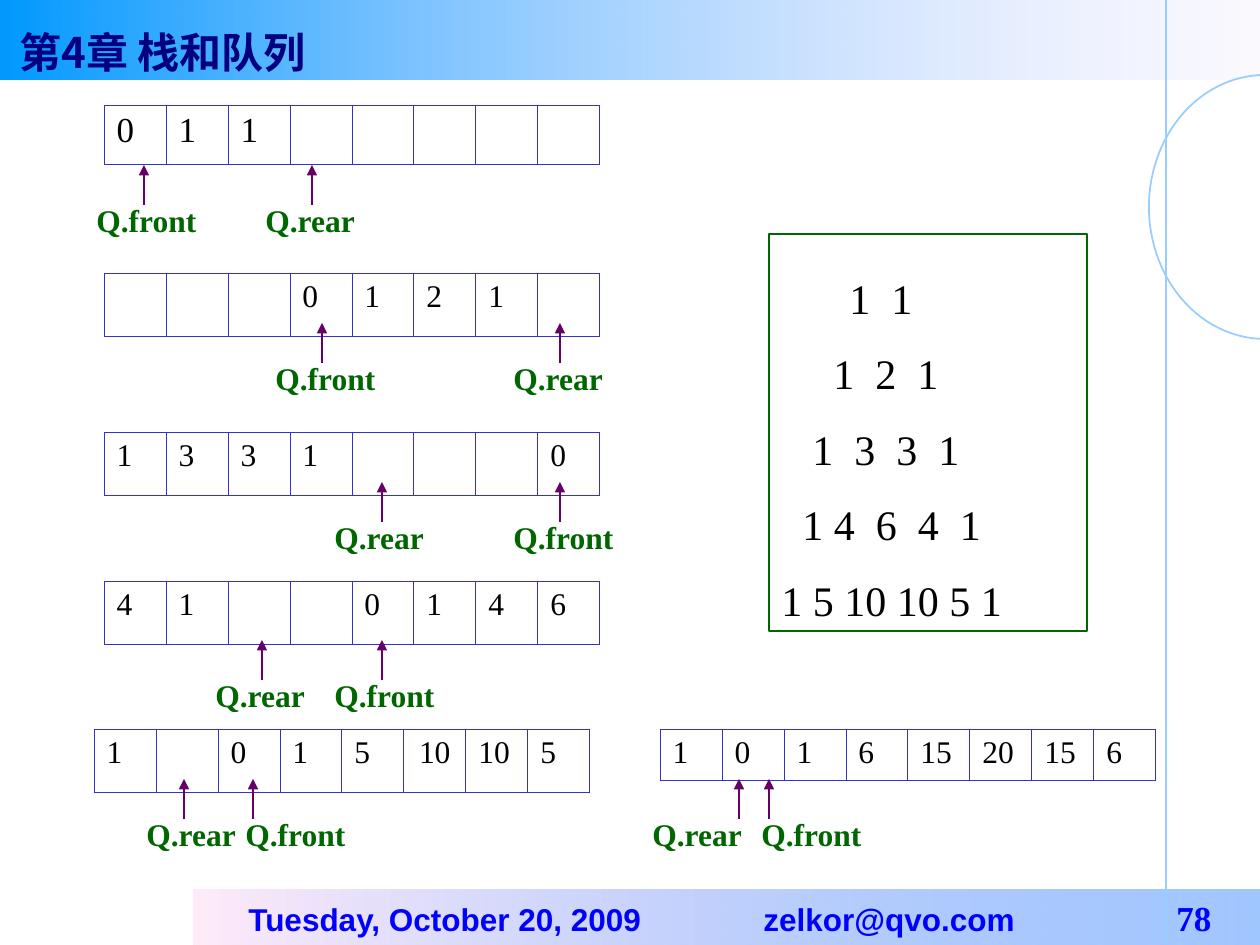
from math import cos, pi, sin
from lxml.etree import SubElement
from pptx import Presentation
from pptx.dml.color import RGBColor
from pptx.enum.shapes import MSO_CONNECTOR, MSO_SHAPE
from pptx.enum.text import MSO_ANCHOR, MSO_AUTO_SIZE, PP_ALIGN
from pptx.oxml.ns import qn
from pptx.util import Emu, Pt

SCALE = 914400 / 126
SERIF = "Times New Roman"
BLACK = RGBColor(0x00, 0x00, 0x00)
NAVY = RGBColor(0x00, 0x00, 0x80)
BLUE = RGBColor(0x00, 0x00, 0xFF)
GREEN = RGBColor(0x00, 0x66, 0x00)
PURPLE = RGBColor(0x66, 0x00, 0x66)
SKY = RGBColor(0x99, 0xCC, 0xFF)
LAVENDER = RGBColor(0xCC, 0xCC, 0xFF)
AZURE = RGBColor(0x00, 0x99, 0xFF)
PINK = RGBColor(0xFF, 0xEB, 0xFA)
CORNFLOWER = RGBColor(0x5E, 0x9E, 0xFF)
GRID_BLUE = RGBColor(0x33, 0x33, 0xCC)


def px(*lengths):
    return [Emu(round(length * SCALE)) for length in lengths]


def style(run, size, color, name=SERIF, bold=False):
    run.font.size = Pt(size)
    run.font.color.rgb = color
    run.font.name = name
    run.font.bold = bold


presentation = Presentation()
presentation.slide_width, presentation.slide_height = px(1260, 945)
slide = presentation.slides.add_slide(presentation.slide_layouts[5])
shapes = slide.shapes

bands = []
for box, angle, stops in (
    ((0, 0, 1260, 80), 180, ((LAVENDER, 10), (AZURE, 100))),
    ((193, 890, 1067, 55), 0, ((PINK, 100), (CORNFLOWER, 58))),
):
    band = shapes.add_shape(MSO_SHAPE.RECTANGLE, *px(*box))
    band.shadow.inherit = False
    band.line.fill.background()
    band.fill.gradient()
    band.fill.gradient_angle = angle
    for position, (stop, (color, opacity)) in enumerate(zip(band.fill.gradient_stops, stops)):
        stop.position = position
        stop.color.rgb = color
    for color_element, (color, opacity) in zip(band._element.spPr.iter(qn("a:srgbClr")), stops):
        SubElement(color_element, qn("a:alpha"), val=str(opacity * 1000))
    bands.append(band)
header, footer = bands
shapes._spTree.remove(header._element)
shapes._spTree.insert(2, header._element)

title = shapes.title
title.left, title.top, title.width, title.height = px(7, 23, 343, 58)
title.text_frame.text = "第4章 栈和队列"
title.text_frame.word_wrap = True
title.text_frame.auto_size = MSO_AUTO_SIZE.NONE
title.text_frame.vertical_anchor = MSO_ANCHOR.MIDDLE
title.text_frame.paragraphs[0].alignment = PP_ALIGN.LEFT
title_run = title.text_frame.paragraphs[0].runs[0]
style(title_run, 24, NAVY, "Noto Sans CJK SC", True)
SubElement(title_run._r.get_or_add_rPr(), qn("a:ea"), typeface="Noto Sans CJK SC")

arc_points = [px(1265 - 116 * sin(pi * step / 60), 207 - 132 * cos(pi * step / 60)) for step in range(61)]
builder = shapes.build_freeform(*arc_points[0])
builder.add_line_segments(arc_points[1:], close=False)
arc = builder.convert_to_shape()
arc.shadow.inherit = False
arc.fill.background()
arc.line.color.rgb = SKY
arc.line.width = Pt(1)

divider = shapes.add_connector(MSO_CONNECTOR.STRAIGHT, *px(1166, 0, 1166, 945))
divider.line.color.rgb = SKY
divider.line.width = Pt(1.5)
SubElement(divider._element.spPr, qn("a:effectLst"))

footer.text_frame.word_wrap = True
footer.text_frame.vertical_anchor = MSO_ANCHOR.MIDDLE
paragraph = footer.text_frame.paragraphs[0]
paragraph.alignment = PP_ALIGN.LEFT
tabs = SubElement(paragraph._p.get_or_add_pPr(), qn("a:tabLst"))
for stop in px(43, 558, 971):
    SubElement(tabs, qn("a:tab"), pos=str(stop), algn="l")
for text, size, name in (
    ("\tTuesday, October 20, 2009\tzelkor@qvo.com", 18, "Arial"),
    ("\t78", 20, SERIF),
):
    run = paragraph.add_run()
    run.text = text
    style(run, size, BLUE, name, True)

queues = (
    (104, 105, 59, 20, ("0", "1", "1", "", "", "", "", ""), 165,
     (("Q.front", 84, 144), ("Q.rear", 253, 312))),
    (104, 273, 63, 18, ("", "", "", "0", "1", "2", "1", ""), 323,
     (("Q.front", 263, 322), ("Q.rear", 501, 560))),
    (104, 432, 63, 18, ("1", "3", "3", "1", "", "", "", "0"), 482,
     (("Q.front", 501, 560), ("Q.rear", 322, 382))),
    (104, 581, 63, 18, ("4", "1", "", "", "0", "1", "4", "6"), 640,
     (("Q.front", 322, 382), ("Q.rear", 203, 262))),
    (94, 729, 63, 18, ("1", "", "0", "1", "5", "10", "10", "5"), 779,
     (("Q.front", 233, 253), ("Q.rear", 134, 184))),
    (660, 729, 51, 18, ("1", "0", "1", "6", "15", "20", "15", "6"), 779,
     (("Q.front", 749, 769), ("Q.rear", 640, 739))),
)
for left, top, height, size, values, tip, pointers in queues:
    frame = shapes.add_table(1, len(values), *px(left, top, 62 * len(values), height))
    table = frame.table
    table.first_row = table.horz_banding = False
    for column, value in enumerate(values):
        cell = table.cell(0, column)
        table.columns[column].width = px(62)[0]
        cell.text = value
        paragraph = cell.text_frame.paragraphs[0]
        paragraph.font.size = Pt(size)
        for run in paragraph.runs:
            style(run, size, BLACK)
        for side in ("lnL", "lnR", "lnT", "lnB"):
            border = SubElement(cell._tc.get_or_add_tcPr(), qn("a:" + side), w=str(Pt(0.45)))
            SubElement(SubElement(border, qn("a:solidFill")), qn("a:srgbClr"), val=str(GRID_BLUE))
        cell.fill.background()
    if left == 94:
        table.cell(0, 5).text_frame.paragraphs[0].alignment = PP_ALIGN.CENTER

    for name, label_left, arrow_x in pointers:
        label = shapes.add_textbox(*px(label_left, tip + 30, 139, 50))
        label.text_frame.word_wrap = True
        label.text_frame.text = name
        style(label.text_frame.paragraphs[0].runs[0], 18, GREEN, bold=True)
        arrow = shapes.add_connector(MSO_CONNECTOR.STRAIGHT, *px(arrow_x, tip + 40, arrow_x, tip))
        arrow.line.color.rgb = PURPLE
        arrow.line.width = Pt(0.75)
        SubElement(arrow.line._get_or_add_ln(), qn("a:tailEnd"), type="triangle")
        SubElement(arrow._element.spPr, qn("a:effectLst"))

triangle = shapes.add_shape(MSO_SHAPE.RECTANGLE, *px(769, 234, 318, 397))
triangle.shadow.inherit = False
triangle.fill.background()
triangle.line.color.rgb = GREEN
triangle.line.width = Pt(1)
triangle.text_frame.word_wrap = True
triangle.text_frame.vertical_anchor = MSO_ANCHOR.BOTTOM
triangle.text_frame.text = "1  1\n1  2  1\n1  3  3  1\n1 4  6  4  1\n1 5 10 10 5 1"
for paragraph, indent in zip(triangle.text_frame.paragraphs, px(68, 52, 31, 21, 0)):
    paragraph.alignment = PP_ALIGN.LEFT
    paragraph.line_spacing = Pt(43.2)
    paragraph._p.get_or_add_pPr().set("marL", str(indent))
    style(paragraph.runs[0], 24, BLACK)

presentation.save("out.pptx")
